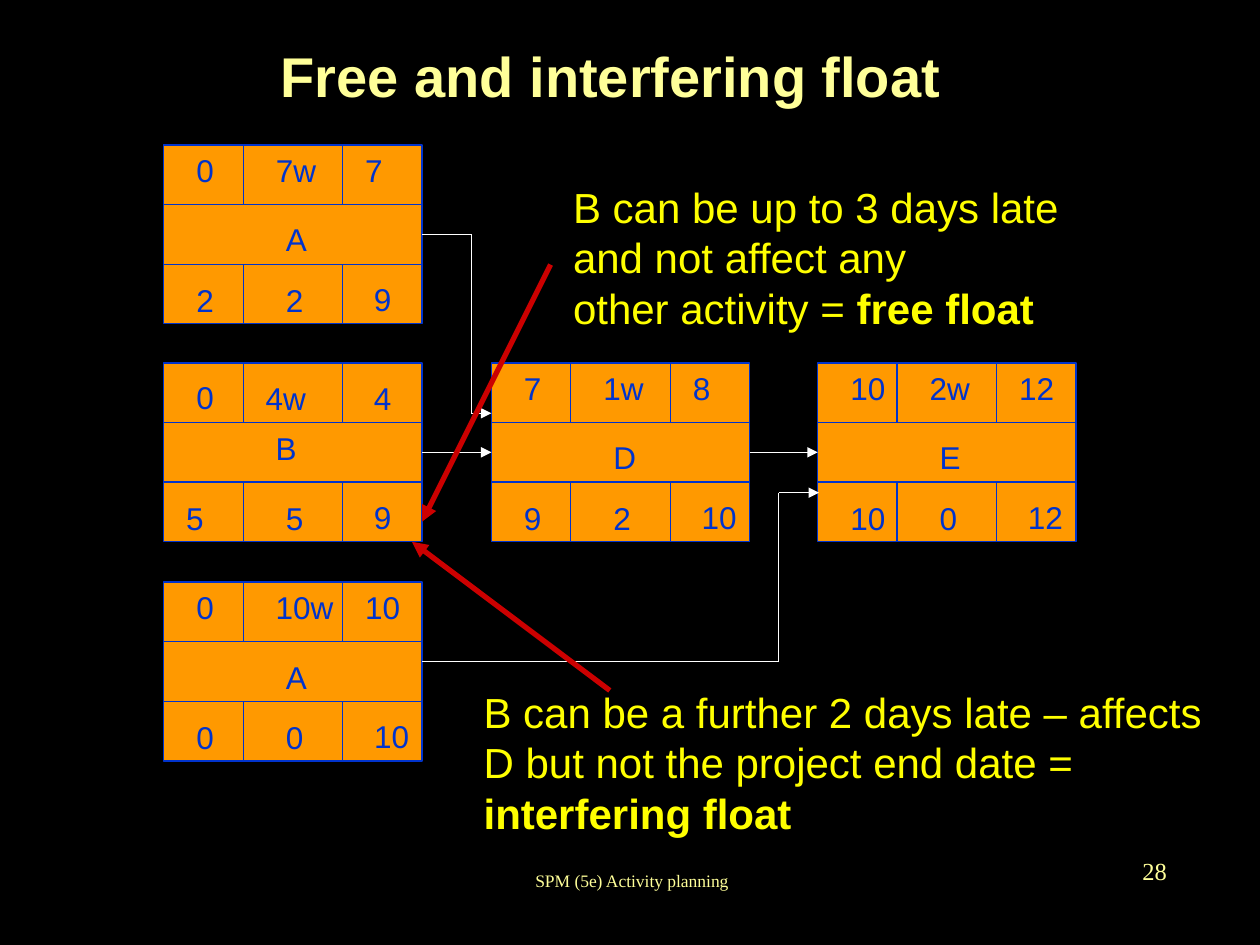
from lxml import etree
from pptx import Presentation
from pptx.dml.color import RGBColor
from pptx.enum.shapes import MSO_CONNECTOR, MSO_SHAPE
from pptx.enum.text import MSO_ANCHOR, MSO_AUTO_SIZE, PP_ALIGN
from pptx.oxml.ns import qn
from pptx.util import Inches, Pt

STRAIGHT = MSO_CONNECTOR.STRAIGHT
RECTANGLE = MSO_SHAPE.RECTANGLE
TOP, MIDDLE = MSO_ANCHOR.TOP, MSO_ANCHOR.MIDDLE
LEFT, CENTER, RIGHT = PP_ALIGN.LEFT, PP_ALIGN.CENTER, PP_ALIGN.RIGHT
GROW = MSO_AUTO_SIZE.SHAPE_TO_FIT_TEXT
LEFT_SIDE, RIGHT_SIDE = 1, 3

BLACK, WHITE, RED = "000000", "FFFFFF", "CC0000"
ORANGE, BLUE, YELLOW, PALE_YELLOW = "FF9900", "0033CC", "FFFF00", "FFFF99"

BOX_WIDTH, BOX_HEIGHT = 2.05, 1.42
ROW_HEIGHT = BOX_HEIGHT / 3
COLUMN_EDGES = (0.63, 1.42)
LABEL_SPOTS = ((0.16, 0), (0.79, 0), (1.5, 0), (0.87, 0.55),
               (0.16, 1.03), (0.87, 1.03), (1.57, 1.02))
B_SPOTS = ((0.16, 0.07), (0.71, 0.08), (1.57, 0.08), (0.79, 0.48),
           (0.08, 1.03), (0.87, 1.03), (1.57, 1.02))
GLYPH_WIDTHS = {"w": 0.18, "A": 0.16, "B": 0.16, "D": 0.18, "E": 0.16}


def color(hex_value):
    return RGBColor.from_string(hex_value)


class ActivitySlide:
    body_font = "Arial"
    footer_font = "Times New Roman"

    def __init__(self, slide):
        self.slide = slide
        background = slide.background.fill
        background.solid()
        background.fore_color.rgb = color(BLACK)

    def text(self, place, lines, size, ink, font=body_font, align=LEFT,
             anchor=TOP, bold=False, wrap=True):
        box = self.slide.shapes.add_textbox(*map(Inches, place))
        frame = box.text_frame
        frame.word_wrap = wrap
        frame.vertical_anchor = anchor
        if not wrap:
            frame.auto_size = GROW
        for index, line in enumerate(lines):
            paragraph = frame.paragraphs[0] if index == 0 else frame.add_paragraph()
            paragraph.alignment = align
            paragraph.font.size = Pt(size)
            paragraph.font.name = font
            paragraph.font.bold = bold
            paragraph.font.color.rgb = color(ink)
            plain, _, strong = line.partition("*")
            if plain:
                paragraph.add_run().text = plain
            if strong:
                emphasis = paragraph.add_run()
                emphasis.text = strong
                emphasis.font.bold = True

    def line(self, start, end, ink=BLUE, width=0.75, arrow=False,
             source=None, target=None):
        connector = self.slide.shapes.add_connector(
            STRAIGHT, *map(Inches, (*start, *end)))
        connector.line.color.rgb = color(ink)
        connector.line.width = Pt(width)
        if arrow:
            etree.SubElement(connector.line._get_or_add_ln(),
                             qn("a:tailEnd"), type="triangle")
        etree.SubElement(connector._element.spPr, qn("a:effectLst"))
        if source is not None:
            connector.begin_connect(source, RIGHT_SIDE)
        if target is not None:
            connector.end_connect(target, LEFT_SIDE)

    def route(self, points, source=None):
        last = len(points) - 2
        for index, (start, end) in enumerate(zip(points, points[1:])):
            self.line(start, end, WHITE, arrow=index == last,
                      source=source if index == 0 else None)

    def activity(self, left, top, labels, spots=LABEL_SPOTS):
        box = self.slide.shapes.add_shape(
            RECTANGLE, *map(Inches, (left, top, BOX_WIDTH, BOX_HEIGHT)))
        box.shadow.inherit = False
        box.fill.solid()
        box.fill.fore_color.rgb = color(ORANGE)
        box.line.color.rgb = color(BLUE)
        box.line.width = Pt(0.75)
        for row in (1, 2):
            y = top + row * ROW_HEIGHT
            self.line((left, y), (left + BOX_WIDTH, y))
        for edge in COLUMN_EDGES:
            for row in (0, 2):
                y = top + row * ROW_HEIGHT
                self.line((left + edge, y), (left + edge, y + ROW_HEIGHT))
        for label, (dx, dy) in zip(labels, spots):
            width = 0.2 + sum(GLYPH_WIDTHS.get(glyph, 0.14) for glyph in label)
            self.text((left + dx, top + dy, width, 0.4), [label], 18, BLUE, wrap=False)
        return box


def main():
    deck = Presentation()
    deck.slide_width, deck.slide_height = Inches(10), Inches(7.5)
    plan = ActivitySlide(deck.slides.add_slide(deck.slide_layouts[6]))

    plan.text((0.35, 0.2, 9, 0.79), ["Free and interfering float"], 32,
              PALE_YELLOW, align=CENTER, anchor=MIDDLE, bold=True)

    first = plan.activity(1.3, 1.15, ("0", "7w", "7", "A", "2", "2", "9"))
    second = plan.activity(1.3, 2.88, ("0", "4w", "4", "B", "5", "5", "9"), B_SPOTS)
    plan.activity(1.3, 4.62, ("0", "10w", "10", "A", "0", "0", "10"))
    fourth = plan.activity(3.9, 2.88, ("7", "1w", "8", "D", "9", "2", "10"))
    fifth = plan.activity(6.49, 2.88, ("10", "2w", "12", "E", "10", "0", "12"))

    plan.line((3.35, 3.59), (3.9, 3.59), WHITE, arrow=True, source=second, target=fourth)
    plan.line((5.95, 3.59), (6.49, 3.59), WHITE, arrow=True, source=fourth, target=fifth)
    plan.route([(3.35, 1.86), (3.74, 1.86), (3.74, 3.28), (3.9, 3.28)], first)
    plan.route([(3.35, 5.25), (6.18, 5.25), (6.18, 3.91), (6.5, 3.91)])

    plan.text((4.45, 1.39, 4.2, 1.3),
              ["B can be up to 3 days late", "and not affect any",
               "other activity = *free float"], 24, YELLOW)
    plan.text((3.74, 5.4, 6.1, 1.3),
              ["B can be a further 2 days late – affects",
               "D but not the project end date =", "*interfering float"],
              24, YELLOW)
    plan.line((4.37, 2.1), (3.35, 4.14), RED, 3, arrow=True)
    plan.line((4.84, 5.48), (3.27, 4.3), RED, 3, arrow=True)

    plan.text((3.43, 6.74, 3.17, 0.5), ["SPM (5e) Activity planning"], 10,
              PALE_YELLOW, plan.footer_font, CENTER, MIDDLE)
    plan.text((7.28, 6.66, 2.08, 0.5), ["28"], 14, PALE_YELLOW,
              plan.footer_font, RIGHT, MIDDLE)
    deck.save("out.pptx")


if __name__ == "__main__":
    main()
